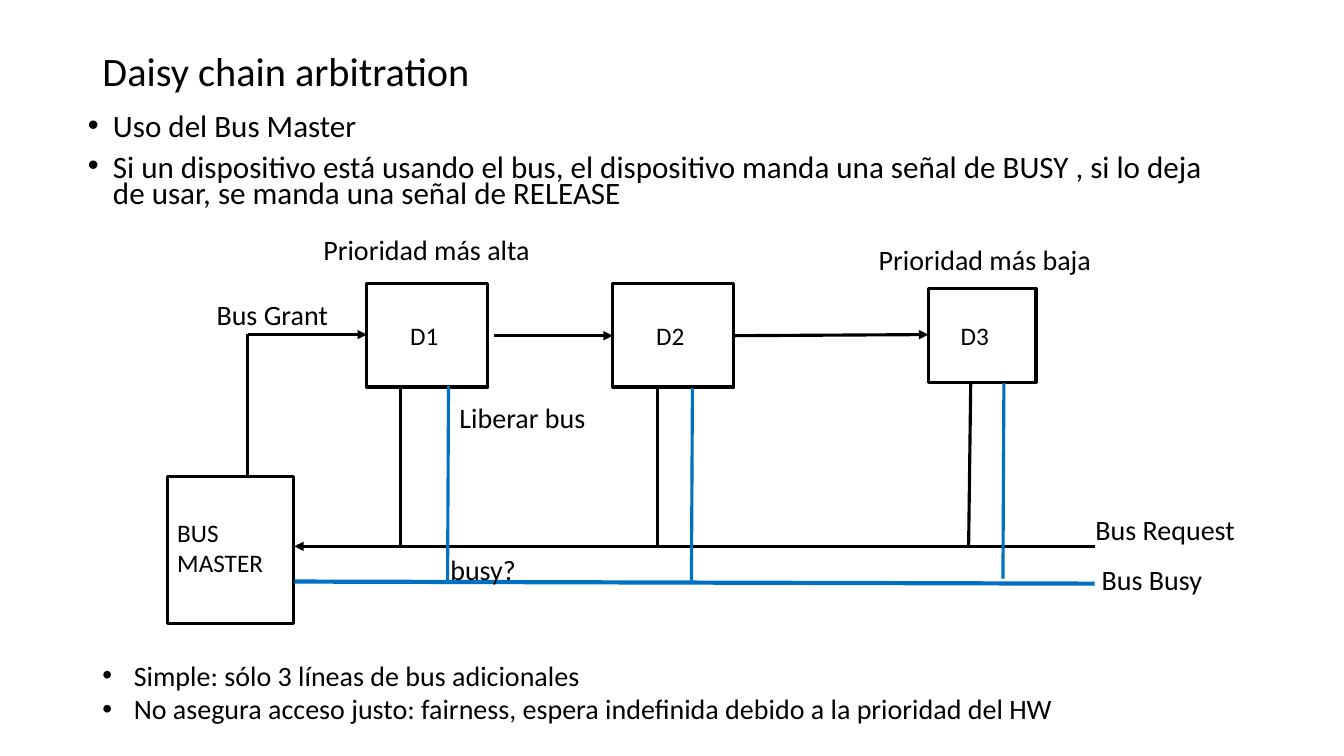
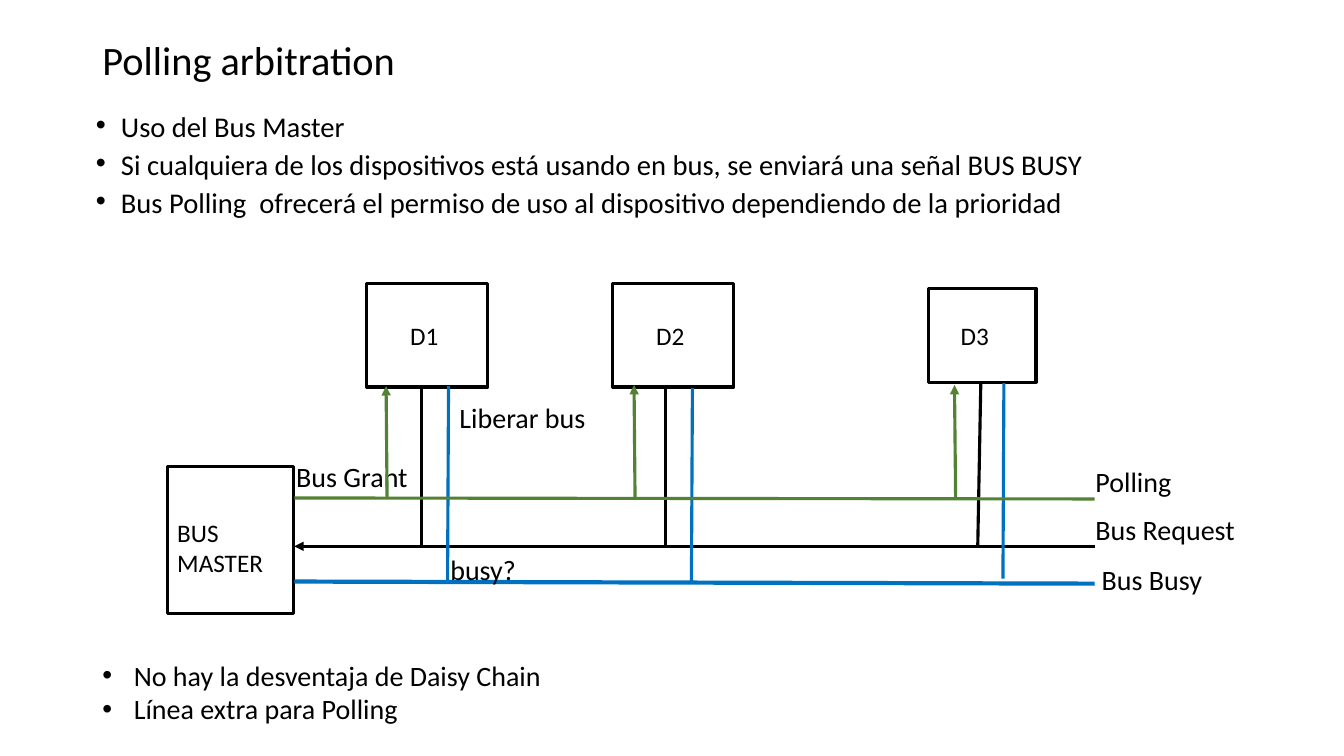
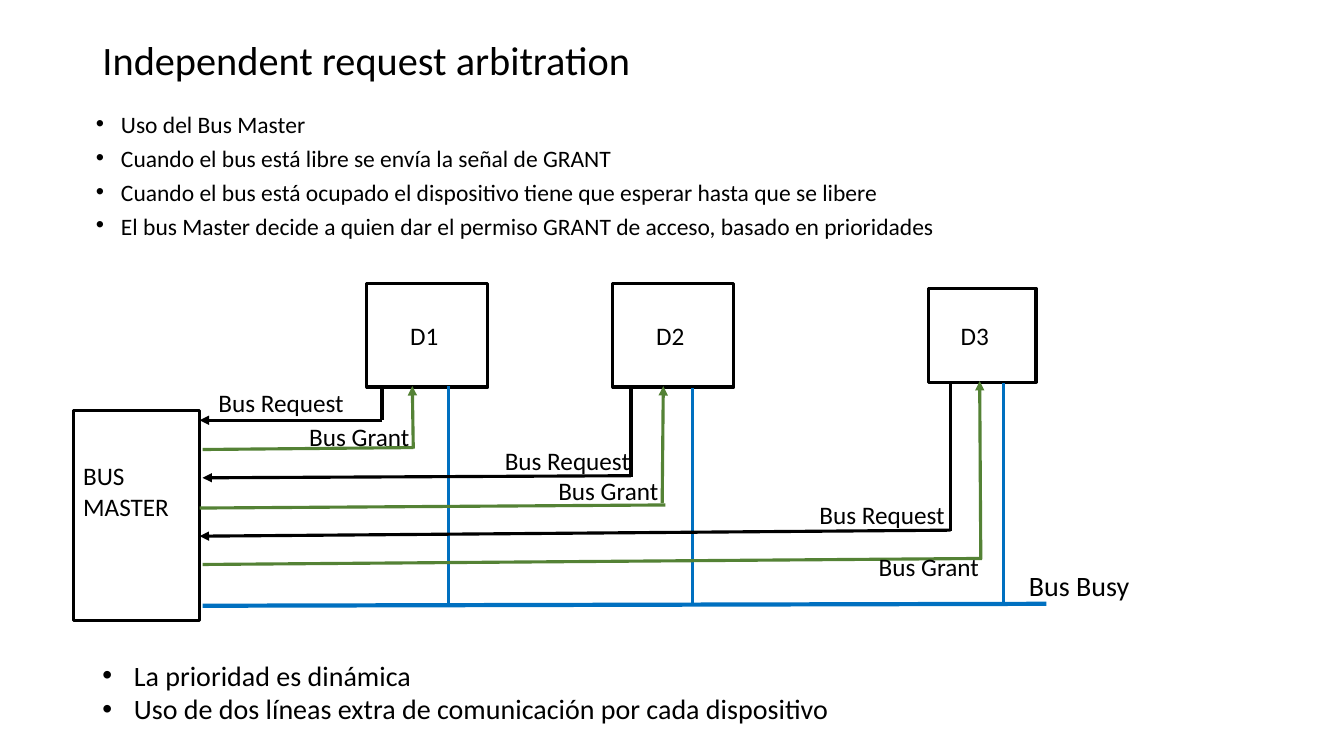
from lxml import etree
from pptx import Presentation
from pptx.dml.color import RGBColor
from pptx.enum import shapes, text
from pptx.oxml import ns
from pptx.util import Pt

# Shared style
FONT = "Calibri"
BLACK = RGBColor(0x00, 0x00, 0x00)
BLUE = RGBColor(0x00, 0x70, 0xC0)
GREEN = RGBColor(0x54, 0x82, 0x35)
LINE, THICK = 2.25, 3
INSET = 7.2

# Text widths at 20 points
LABEL_WIDTHS = {
    "Bus Request": 100.8, "Bus Busy": 72.7, "Bus Grant": 80.6, "Polling": 54.7,
    "busy?": 47.5, "Liberar bus": 91.4,
    "Prioridad más alta": 149, "Prioridad más baja": 153.4,
}

# Devices: name, (left, top, width, height), left inset of the name
DEVICES = [
    ("D1", (262.1, 202.3, 86.4, 74.2), 30.9),
    ("D2", (437.8, 202.3, 86.4, 74.2), 30.9),
    ("D3", (663.1, 206, 77, 67), 23.1),
]
# Blue drops: x at the device, top
BUSY_DROPS = [(320.4, 275.8), (494.6, 277.2), (717.1, 273.6)]

# Content: lists, sizes and places; master is (box, top inset)
DAISY = dict(
    title="Daisy chain arbitration", title_box=(66, 28.8, 828, 43.2),
    body=["Uso del Bus Master",
          "Si un dispositivo está usando el bus, el dispositivo manda una señal de BUSY , "
          "si lo deja de usar, se manda una señal de RELEASE"],
    body_box=(55.5, 80, 828, 75.6), body_size=22.2,
    notes=["Simple: sólo 3 líneas de bus adicionales",
           "No asegura acceso justo: fairness, espera indefinida debido a la prioridad del HW"],
    notes_width=700,
    master=((119.5, 340.6, 90, 105), 25.2),
    labels=[("Prioridad más alta", 223.9, 162.7), ("Prioridad más baja", 620.6, 169.9),
            ("Bus Grant", 147.6, 208.8)],
)
POLLING = dict(
    title="Polling arbitration", title_box=(66, 20, 828, 44.6),
    body=["Uso del Bus Master",
          "Si cualquiera de los dispositivos está usando en bus, se enviará una señal BUS BUSY",
          "Bus Polling  ofrecerá el permiso de uso al dispositivo dependiendo de la prioridad"],
    body_box=(61.2, 80.6, 828, 83.5), body_size=20.4,
    notes=["No hay la desventaja de Daisy Chain", "Línea extra para Polling"],
    notes_width=330.5,
    master=((119.5, 333.4, 90, 105), 32.4),
    labels=[("Polling", 775.4, 328.3), ("Bus Grant", 204.5, 324.7)],
)
INDEPENDENT = dict(
    title="Independent request arbitration", title_box=(66, 20, 828, 44.6),
    body=["Uso del Bus Master",
          "Cuando el bus está libre se envía la señal de GRANT",
          "Cuando el bus está ocupado el dispositivo tiene que esperar hasta que se libere",
          "El bus Master decide a quien dar el permiso GRANT de acceso, basado en prioridades"],
    body_box=(61.2, 80.6, 828, 100), body_size=16.8,
    notes=["La prioridad es dinámica",
           "Uso de dos líneas extra de comunicación por cada dispositivo"],
    notes_width=538,
    master=((52.3, 293, 90, 150.5), 32.4),
    labels=[("Bus Busy", 727.9, 402.5)],
)

COMMON_BUS_LABELS = [("Bus Request", 775.4, 362.2), ("Bus Busy", 779.8, 398.2),
                     ("busy?", 314.6, 391), ("Liberar bus", 321.1, 282.2)]

# Chain of grants: x1, y1, x2, y2
GRANT_CHAIN = [(177.1, 239, 262.1, 239), (352.8, 239.8, 437.8, 239.8),
               (524.2, 239.8, 663.1, 239)]
DAISY_REQUESTS = [(285.8, 285.8), (469.4, 469.4), (693.4, 691.9)]
POLLING_REQUESTS = [(301, 301), (475.2, 475.2), (700.6, 698.4)]
POLLS = [(276.5, 355.7, 275.8, 275.8), (453.6, 355, 452.9, 275),
         (682.6, 355, 681.8, 275)]

# Independent lines of each device: points of each run, and label places
REQUEST_LINES = [
    ((272.9, 275.8, 272.9, 300.2), (272.9, 300.2, 142.6, 300.2), (149, 272.9)),
    ((450.7, 277.9, 450.7, 340.6), (450.7, 339.8, 144.7, 341.3), (353.5, 314.6)),
    ((679, 272.9, 679, 379.4), (679, 378.7, 142.6, 383), (578.2, 352.8)),
]
GRANT_LINES = [
    ((295.2, 319.7, 144.7, 321.1), (295.2, 320.4, 294.5, 275.8), (213.8, 297.4)),
    ((475.2, 360.7, 142.6, 362.9), (473, 359.3, 473.8, 275.8), (391.7, 336.2)),
    ((701.3, 398.9, 144.7, 403.2), (700.6, 399.6, 699.8, 272.2), (620.6, 390.2)),
]


def points(values):
    return [Pt(value) for value in values]


def format_text(text_frame, size):
    for paragraph in text_frame.paragraphs:
        paragraph.alignment = text.PP_ALIGN.LEFT
        for run in paragraph.runs:
            run.font.name, run.font.size = FONT, Pt(size)
            run.font.color.rgb = BLACK


def add_bullets(text_frame, indent):
    for paragraph in text_frame.paragraphs:
        properties = paragraph._p.get_or_add_pPr()
        properties.set("marL", str(Pt(indent)))
        properties.set("indent", str(-Pt(indent)))
        etree.SubElement(properties, ns.qn("a:buFont")).set("typeface", "Arial")
        etree.SubElement(properties, ns.qn("a:buChar")).set("char", "•")


def place(shape, box):
    shape.left, shape.top, shape.width, shape.height = points(box)


def add_box(slide, name, box, left_inset, top_inset=None):
    shape = slide.shapes.add_shape(shapes.MSO_SHAPE.RECTANGLE, *points(box))
    shape.shadow.inherit = False
    shape.fill.background()
    shape.line.color.rgb, shape.line.width = BLACK, Pt(LINE)
    frame = shape.text_frame
    frame.text = name
    frame.margin_left, frame.margin_right = Pt(left_inset), Pt(0)
    if top_inset is None:
        frame.vertical_anchor = text.MSO_ANCHOR.MIDDLE
    else:
        frame.vertical_anchor = text.MSO_ANCHOR.TOP
        frame.margin_top = Pt(top_inset + 3.6)
    format_text(frame, 18)


def add_label(slide, label, left, top, size=20):
    width = LABEL_WIDTHS[label] * size / 20 + 2 * INSET
    frame = slide.shapes.add_textbox(*points((left, top, width, size * 1.6))).text_frame
    frame.word_wrap = False
    frame.text = label
    format_text(frame, size)


def add_line(slide, ends, color=BLACK, width=LINE, arrow=False):
    line = slide.shapes.add_connector(shapes.MSO_CONNECTOR.STRAIGHT, *points(ends))
    line.line.color.rgb, line.line.width = color, Pt(width)
    if arrow:
        tail = etree.SubElement(line.line._get_or_add_ln(), ns.qn("a:tailEnd"))
        tail.set("type", "triangle")
    etree.SubElement(line._element.spPr, ns.qn("a:effectLst"))


def add_slide(presentation, content):
    """Title, both lists, bus master, devices and labels."""
    slide = presentation.slides.add_slide(presentation.slide_layouts[1])
    title, body = slide.shapes.title, slide.placeholders[1]
    place(title, content["title_box"])
    title.text_frame.text = content["title"]
    title.text_frame.vertical_anchor = text.MSO_ANCHOR.MIDDLE
    format_text(title.text_frame, 28.8)

    place(body, content["body_box"])
    body.text_frame.text = "\n".join(content["body"])
    body.text_frame.auto_size = text.MSO_AUTO_SIZE.NONE
    format_text(body.text_frame, content["body_size"])
    for paragraph in body.text_frame.paragraphs:
        paragraph.line_spacing, paragraph.space_before = 0.7, Pt(10)
    add_bullets(body.text_frame, 18)

    notes_box = (66, 466.6, content["notes_width"], 55.4)
    notes = slide.shapes.add_textbox(*points(notes_box)).text_frame
    notes.word_wrap = False
    notes.text = "\n".join(content["notes"])
    format_text(notes, 20)
    add_bullets(notes, 22.5)

    master_box, top_inset = content["master"]
    add_box(slide, "BUS\nMASTER", master_box, INSET, top_inset)
    for name, box, left_inset in DEVICES:
        add_box(slide, name, box, left_inset)
    for label in content["labels"]:
        add_label(slide, *label)
    return slide


def add_busy_drops(slide, bottoms, shift=-0.7):
    for (x, top), bottom in zip(BUSY_DROPS, bottoms):
        add_line(slide, (x, top, x + shift, bottom), BLUE)


def add_common_bus(slide, requests):
    """Request and busy lines that all devices share."""
    add_line(slide, (781.9, 390.2, 210.2, 390.2), arrow=True)
    add_line(slide, (210.2, 415.4, 781.9, 416.9), BLUE, THICK)
    for (start, end), top in zip(requests, (275.8, 275.8, 273.6)):
        add_line(slide, (start, top, end, 390.2))
    add_busy_drops(slide, (415.4, 416.9, 413.3))
    for label in COMMON_BUS_LABELS:
        add_label(slide, *label)


def main():
    presentation = Presentation()
    presentation.slide_width, presentation.slide_height = Pt(960), Pt(540)

    # Daisy chain
    slide = add_slide(presentation, DAISY)
    add_common_bus(slide, DAISY_REQUESTS)
    add_line(slide, (177.1, 238.3, 177.1, 340.6))
    for ends in GRANT_CHAIN:
        add_line(slide, ends, arrow=True)

    # Polling
    slide = add_slide(presentation, POLLING)
    add_common_bus(slide, POLLING_REQUESTS)
    add_line(slide, (210.2, 355.7, 781.9, 356.4), GREEN)
    for ends in POLLS:
        add_line(slide, ends, GREEN, arrow=True)

    # Independent requests
    slide = add_slide(presentation, INDEPENDENT)
    add_line(slide, (144.7, 432.7, 747.4, 431.3), BLUE, THICK)
    add_busy_drops(slide, (432.7, 432, 432.7), 0)
    for drop, run, label_place in REQUEST_LINES:
        add_line(slide, drop)
        add_line(slide, run, arrow=True)
        add_label(slide, "Bus Request", *label_place, size=18)
    for run, rise, label_place in GRANT_LINES:
        add_line(slide, run, GREEN)
        add_line(slide, rise, GREEN, arrow=True)
        add_label(slide, "Bus Grant", *label_place, size=18)

    presentation.save("out.pptx")


if __name__ == "__main__":
    main()
